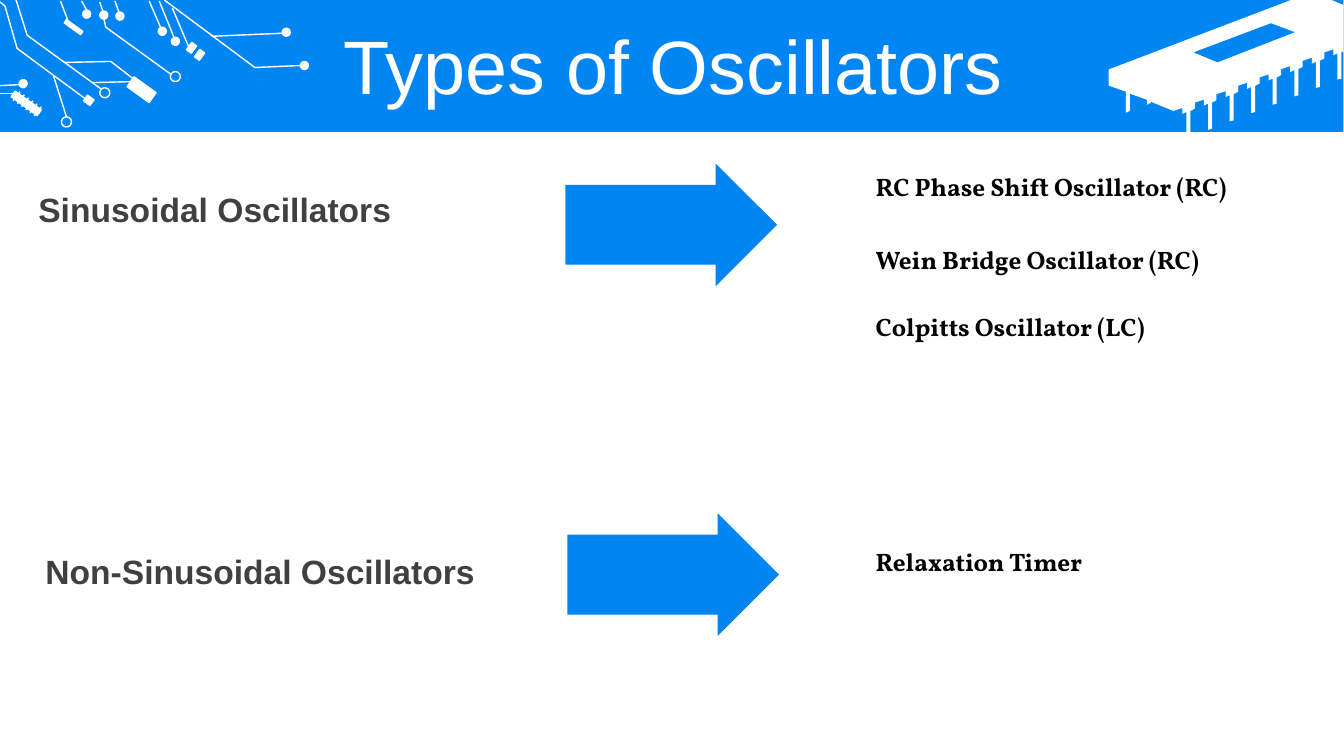
from dataclasses import dataclass

from lxml.etree import SubElement
from pptx import Presentation
from pptx.dml.color import RGBColor
from pptx.enum.shapes import MSO_CONNECTOR as Link, MSO_SHAPE as Kind
from pptx.enum.text import MSO_ANCHOR as Anchor, MSO_AUTO_SIZE as Fit, PP_ALIGN as Align
from pptx.oxml.ns import qn
from pptx.util import Cm, Length, Pt

BLUE = RGBColor(0x00, 0x85, 0xF2)
WHITE = RGBColor(0xFF, 0xFF, 0xFF)
GREY = RGBColor(0x40, 0x40, 0x40)
BLACK = RGBColor(0x00, 0x00, 0x00)

TILT = 35.7
Point = tuple[float, float]


@dataclass
class Part:
    """A small circuit part: place and size on the inch grid."""
    x: float
    y: float
    w: float
    h: float
    kind: Kind = Kind.RECTANGLE
    solid: bool = True


@dataclass
class Label:
    text: str
    x: float
    y: float
    w: float
    h: float


def grid(val: float) -> Length:
    """Turn a step on the inch grid into a length."""
    return Cm(val * 2.54)


def paint(shape, fill=None, line=None) -> None:
    shape.shadow.inherit = False
    if fill is None:
        shape.fill.background()
    else:
        shape.fill.solid()
        shape.fill.fore_color.rgb = fill
    if line is None:
        shape.line.fill.background()
    else:
        shape.line.color.rgb = line
        shape.line.width = Pt(1)


def draw(shapes, part: Part, fill=None, line=None, turn: float = 0):
    shape = shapes.add_shape(part.kind, grid(part.x), grid(part.y), grid(part.w), grid(part.h))
    shape.rotation = turn
    paint(shape, fill, line)
    return shape


def outline(shapes, loops: list[list[Point]], close: bool):
    """Build one freeform from one or more point lists."""
    loops = [[(grid(x), grid(y)) for x, y in loop] for loop in loops]
    form = shapes.build_freeform(*loops[0][0])
    for num, loop in enumerate(loops):
        if num:
            form.move_to(*loop[0])
        form.add_line_segments(loop[1:], close=close)
    return form.convert_to_shape()


def trace(shapes, pts: list[Point]) -> None:
    """Draw a white wire, straight or bent."""
    if len(pts) > 2:
        paint(outline(shapes, [pts], False), line=WHITE)
        return
    ends = [grid(val) for pt in pts for val in pt]
    wire = shapes.add_connector(Link.STRAIGHT, *ends)
    wire.line.color.rgb = WHITE
    wire.line.width = Pt(1)
    SubElement(wire.element.spPr, qn("a:effectLst"))


def write(box, text: str, *, size: float, color: RGBColor, font: str = "Arial",
          bold: bool = False, align: Align = Align.LEFT, space: float = 1,
          after: float = 0, anchor: Anchor = Anchor.TOP) -> None:
    frame = box.text_frame
    frame.word_wrap = True
    frame.auto_size = Fit.NONE
    frame.vertical_anchor = anchor
    para = frame.paragraphs[0]
    para.alignment = align
    para.line_spacing = space
    para.space_before = Pt(0)
    para.space_after = Pt(after)
    run = para.add_run()
    run.text = text
    run.font.name = font
    run.font.size = Pt(size)
    run.font.bold = bold
    run.font.color.rgb = color


def label(shapes, item: Label, **form) -> None:
    box = shapes.add_textbox(grid(item.x), grid(item.y), grid(item.w), grid(item.h))
    write(box, item.text, **form)


def chip(shapes) -> None:
    """Draw the chip: a body with eight stepped legs and a window."""
    edge = [(12.81, 0), (13.21, 0), (13.33, 0.05), (13.33, 0.51)]
    leg = [(13.31, 0.52), (13.31, 0.78), (13.27, 0.79), (13.27, 0.53),
           (13.23, 0.55), (13.23, 0.49), (13.14, 0.52), (13.14, 0.58)]
    legs = [(x - 0.214 * num, y + 0.083 * num) for num in range(8) for x, y in leg]
    side = [(11.42, 1.01), (11.42, 1.02), (11.38, 1.04), (11.38, 0.99), (11.21, 0.93),
            (11.21, 1.1), (11.17, 1.12), (11.17, 0.91), (11, 0.85), (11, 0.69)]
    hole = [(12.61, 0.23), (11.84, 0.52), (12.08, 0.62), (12.85, 0.32)]
    paint(outline(shapes, [hole, edge + legs[:-1] + side], True), fill=WHITE)


DOTS = [(2.98, 0.61), (2.8, 0.28), (0.82, 0.1), (0.99, 0.11), (1.15, 0.12),
        (0.19, 0.79), (1.7, 0.37), (1.57, 0.27)]
RINGS = [(1.69, 0.71), (0.99, 0.87), (0.61, 1.16)]
PARTS = [
    Part(1.27, 0.83, 0.27, 0.12), Part(0.63, 0.25, 0.2, 0.04),
    Part(0.84, 0.96, 0.08, 0.07), Part(1.87, 0.43, 0.06, 0.09),
    Part(1.95, 0.5, 0.06, 0.09), Part(0.1, 0.99, 0.32, 0.07),
    *[Part(x, y, 0.08, 0.08, Kind.OVAL) for x, y in DOTS],
    *[Part(x, y, 0.1, 0.1, Kind.OVAL, False) for x, y in RINGS],
]
WIRES = [
    [(1.63, 0), (2.53, 0.67), (2.99, 0.65)],
    [(0.16, 0), (0.27, 0.35), (1, 0.88)],
    [(0, 0.02), (0.05, 0.06), (0.17, 0.48), (0.86, 0.99)],
    [(0.64, 0.62), (1.1, 0.61), (1.32, 0.78)],
    [(1.03, 0.18), (1.05, 0.27), (1.7, 0.74)],
    [(0.6, 0.01), (0.68, 0.22)], [(0.81, 0.01), (0.86, 0.1)],
    [(0.99, 0.02), (1.02, 0.11)], [(1.14, 0.01), (1.18, 0.12)],
    [(1.48, 0.01), (1.61, 0.31)], [(1.58, 0.01), (1.73, 0.38)],
    [(2.1, 0.36), (2.8, 0.33)], [(1.71, 0.08), (1.87, 0.46)],
    [(0, 0.85), (0.19, 0.84)], [(0, 0.93), (0.14, 0.93)],
    [(0.53, 0.75), (0.66, 1.16)], [(0.92, 0.82), (1.3, 0.81)],
    # Six ribs across the coil
    *[[(0.13 + 0.042 * num, 1 + 0.03 * num), (0.2 + 0.042 * num, 0.91 + 0.03 * num)]
      for num in range(6)],
]
GROUPS = [
    Label("Sinusoidal Oscillators", 0.25, 1.83, 3.73, 0.5),
    Label("Non-Sinusoidal Oscillators", 0.28, 5.42, 4.53, 0.5),
]
ARROWS = [Part(x, y, 2.1, 1.22, Kind.RIGHT_ARROW) for x, y in [(5.61, 1.62), (5.63, 5.09)]]
TYPES = [Label(text, 8.59, y, 3.73, 0.43) for text, y in [
    ("RC Phase Shift Oscillator (RC)", 1.61),
    ("Wein Bridge Oscillator (RC)", 2.33),
    ("Colpitts Oscillator (LC)", 2.99),
    ("Relaxation Timer", 5.33),
]]


def main() -> None:
    deck = Presentation()
    deck.slide_width, deck.slide_height = Cm(33.87), Cm(19.05)
    slide = deck.slides.add_slide(deck.slide_layouts[5])
    shapes = slide.shapes

    # Header band with chip and circuit
    band = draw(shapes, Part(0, 0, 13.33, 1.31), BLUE)
    chip(shapes)
    for part in PARTS:
        draw(shapes, part, WHITE if part.solid else None, WHITE, TILT)
    for wire in WIRES:
        trace(shapes, wire)

    # Title, raised above the band
    title = shapes.title
    title.left, title.top = grid(0.35), grid(0.3)
    title.width, title.height = grid(12.66), grid(0.79)
    write(title, "Types of Oscillators", size=54, color=WHITE, align=Align.CENTER,
          space=0.9, anchor=Anchor.MIDDLE)
    band.element.getparent().append(title.element)

    # Groups, arrows and their types
    for item in GROUPS:
        label(shapes, item, size=24, color=GREY, bold=True, align=Align.RIGHT)
    for part in ARROWS:
        arrow = draw(shapes, part, BLUE)
        arrow.adjustments[0] = 0.65
    for item in TYPES:
        label(shapes, item, size=18, color=BLACK, font="Vollkorn", bold=True,
              space=1.15, after=10)

    deck.save("out.pptx")


if __name__ == "__main__":
    main()
